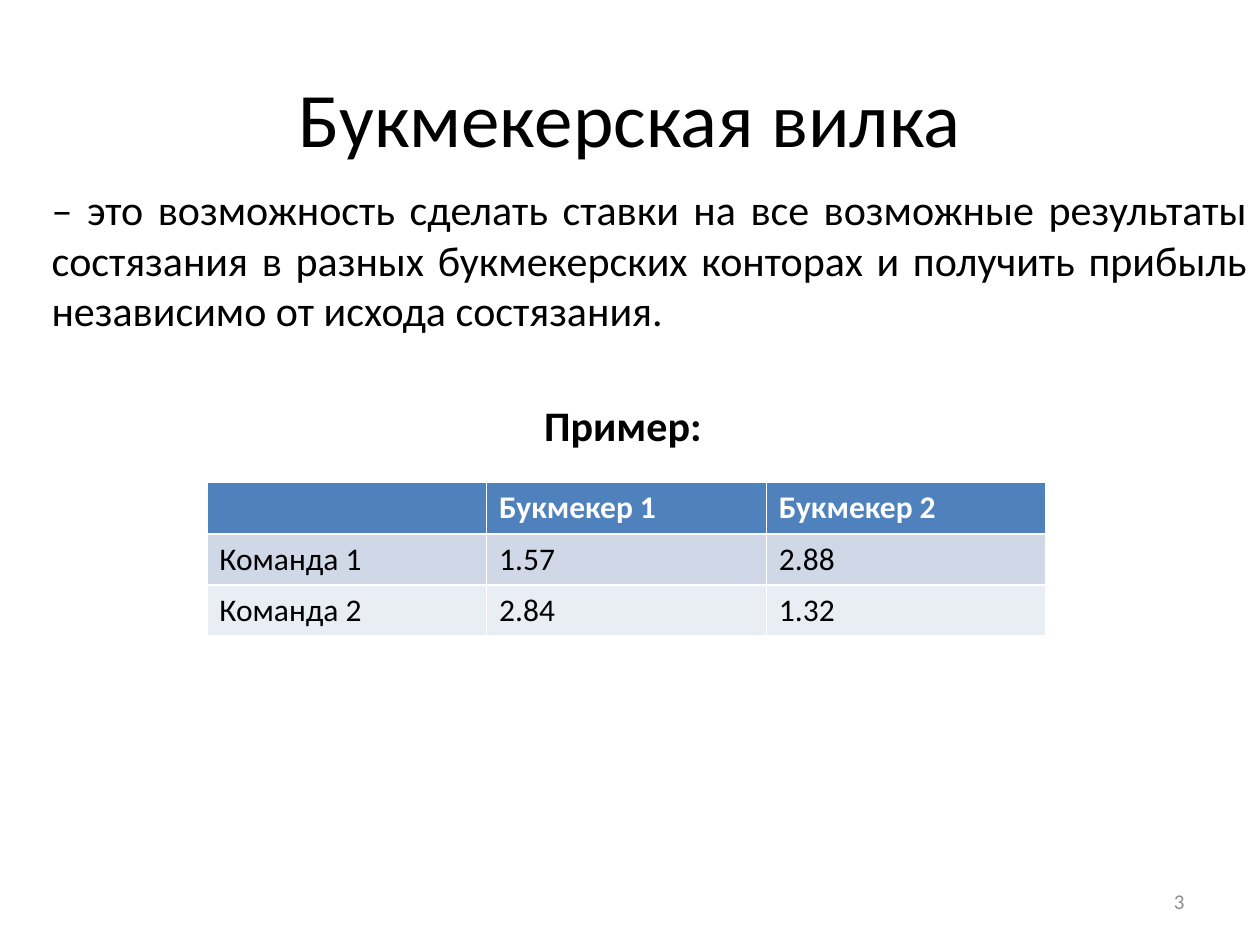
from pptx import Presentation
from pptx import util as u
from pptx.dml.color import RGBColor
from pptx.enum import text

THEME = {
    "font": "Calibri",
    "black": "000000", "white": "FFFFFF", "grey": "8C8C8C",
    "header": "4F81BD", "bands": ("D0D8E8", "E9EDF4"),
    "title": 44, "body": 24, "cell": 18, "number": 12,
}
ALIGN, ANCHOR = text.PP_ALIGN, text.MSO_ANCHOR

# Boxes are left, top, width, height in centimetres.
TEXTS = [
    dict(text="Букмекерская вилка", box=(1.27, 0.76, 22.86, 3.18), size="title",
         align=ALIGN.CENTER, anchor=ANCHOR.MIDDLE),
    dict(text="– это возможность сделать ставки на все возможные результаты "
              "состязания в разных букмекерских конторах и получить прибыль "
              "независимо от исхода состязания.",
         box=(0.79, 3.58, 24.61, 3.33), size="body", align=ALIGN.JUSTIFY),
    dict(text="Пример:", box=(10.72, 7.92, 3.73, 1.28), size="body", bold=True,
         wrap=False),
    dict(text="3", box=(18.21, 17.65, 5.92, 1.02), size="number", color="grey",
         align=ALIGN.RIGHT, anchor=ANCHOR.MIDDLE),
]
ODDS = [
    ("", "Букмекер 1", "Букмекер 2"),
    ("Команда 1", "1.57", "2.88"),
    ("Команда 2", "2.84", "1.32"),
]
ODDS_LEFT, ODDS_TOP, COL_WIDTH, ROW_HEIGHT = 4.17, 9.73, 5.64, 1.03


def write(tf, words, size, color="black", bold=False, align=ALIGN.LEFT):
    """Put one formatted run into a text frame."""
    p = tf.paragraphs[0]
    p.alignment = align
    r = p.add_run()
    r.text = words
    formats = {"name": THEME["font"], "size": u.Pt(THEME[size]), "bold": bold}
    for key, value in formats.items():
        setattr(r.font, key, value)
    r.font.color.rgb = RGBColor.from_string(THEME[color])


def add_text(s, text, box, anchor=ANCHOR.TOP, wrap=True, **style):
    """Add a text box."""
    tf = s.shapes.add_textbox(*map(u.Cm, box)).text_frame
    tf.word_wrap = wrap
    tf.vertical_anchor = anchor
    write(tf, text, **style)


def add_odds(s):
    """Add the table of odds with a header row and banded rows."""
    rows, cols = len(ODDS), len(ODDS[0])
    box = ODDS_LEFT, ODDS_TOP, cols * COL_WIDTH, rows * ROW_HEIGHT
    table = s.shapes.add_table(rows, cols, *map(u.Cm, box)).table
    for i, row in enumerate(ODDS):
        header = i == 0
        fill = THEME["header"] if header else THEME["bands"][(i - 1) % 2]
        for j, words in enumerate(row):
            cell = table.cell(i, j)
            cell.fill.solid()
            cell.fill.fore_color.rgb = RGBColor.from_string(fill)
            if words:
                write(cell.text_frame, words, "cell",
                      "white" if header else "black", header)


prs = Presentation()
prs.slide_width, prs.slide_height = u.Cm(25.4), u.Cm(19.05)
s = prs.slides.add_slide(prs.slide_layouts[6])
for item in TEXTS:
    add_text(s, **item)
add_odds(s)
prs.save("out.pptx")
